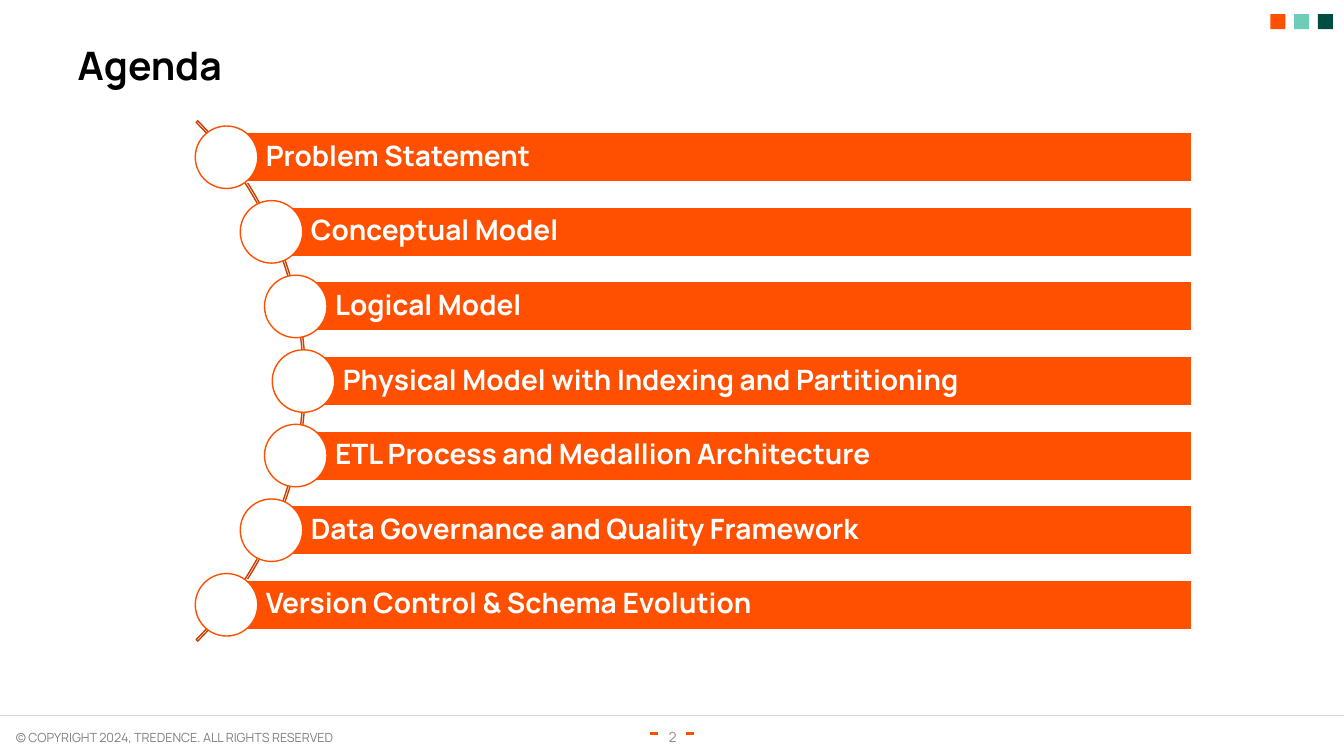
from math import sqrt

from lxml.etree import SubElement
from pptx import Presentation
from pptx.dml.color import RGBColor
from pptx.enum.shapes import MSO_CONNECTOR, MSO_SHAPE
from pptx.enum.text import MSO_ANCHOR, MSO_AUTO_SIZE, PP_ALIGN
from pptx.oxml.ns import qn
from pptx.util import Inches, Pt

TITLE = "Agenda"
AGENDA = [
    "Problem Statement",
    "Conceptual Model",
    "Logical Model",
    "Physical Model with Indexing and Partitioning",
    "ETL Process and Medallion Architecture",
    "Data Governance and Quality Framework",
    "Version Control & Schema Evolution",
]
COPYRIGHT = "© COPYRIGHT 2024, TREDENCE. ALL RIGHTS RESERVED"
PAGE_NUMBER = "2"
ORANGE, WHITE = "FE5000", "FFFFFF"
CORNER_SQUARES = [ORANGE, "6DCDB8", "004E42"]
RULES = [
    (6.45, 6.53, 7.28, ORANGE, 2.25),
    (6.8, 6.88, 7.28, ORANGE, 2.25),
    (0, 13.33, 7.1, "D9D9D9", 0.5),
]

MIDDLE_Y, PITCH = 3.78, 0.74
CURVE_X, CURVE_RADIUS = -0.6, 3.61
BAR_RIGHT, BAR_HEIGHT, CIRCLE = 11.82, 0.49, 0.62


def color(value):
    return RGBColor.from_string(value)


def add_outlined(kind, left, top, width, height, fill=None, line=None):
    shape = slide.shapes.add_shape(
        kind, Inches(left), Inches(top), Inches(width), Inches(height))
    shape.shadow.inherit = False
    if fill:
        shape.fill.solid()
        shape.fill.fore_color.rgb = color(fill)
    else:
        shape.fill.background()
    if line:
        shape.line.color.rgb = color(line)
        shape.line.width = Pt(1)
    else:
        shape.line.fill.background()
    return shape


def write(shape, words, size, ink, align, bold=False, anchor=MSO_ANCHOR.MIDDLE, wrap=True):
    frame = shape.text_frame
    frame.word_wrap = wrap
    frame.auto_size = MSO_AUTO_SIZE.NONE
    frame.vertical_anchor = anchor
    frame.text = words
    paragraph = frame.paragraphs[0]
    paragraph.alignment = align
    paragraph.font.name = "Manrope"
    paragraph.font.size = Pt(size)
    paragraph.font.bold = bold
    paragraph.font.color.rgb = color(ink)
    return frame


def add_label(left, top, width, height, *style, **layout):
    label = slide.shapes.add_textbox(
        Inches(left), Inches(top), Inches(width), Inches(height))
    write(label, *style, **layout)


def add_rule(start, end, y, ink, weight):
    rule = slide.shapes.add_connector(
        MSO_CONNECTOR.STRAIGHT, Inches(start), Inches(y), Inches(end), Inches(y))
    rule.line.color.rgb = color(ink)
    rule.line.width = Pt(weight)
    SubElement(rule._element.spPr, qn("a:effectLst"))


def add_agenda_item(index, topic):
    offset = (index - (len(AGENDA) - 1) / 2) * PITCH
    x = CURVE_X + sqrt(CURVE_RADIUS ** 2 - offset ** 2)
    y = MIDDLE_Y + offset
    bar = add_outlined(MSO_SHAPE.RECTANGLE, x, y - BAR_HEIGHT / 2,
                       BAR_RIGHT - x, BAR_HEIGHT, ORANGE, WHITE)
    frame = write(bar, topic, 20, WHITE, PP_ALIGN.LEFT, bold=True)
    frame.margin_left = Inches(0.39)
    frame.margin_right = frame.margin_top = frame.margin_bottom = Inches(0.06)
    frame.paragraphs[0].line_spacing = 0.9
    add_outlined(MSO_SHAPE.OVAL, x - CIRCLE / 2, y - CIRCLE / 2,
                 CIRCLE, CIRCLE, WHITE, ORANGE)


prs = Presentation()
prs.slide_width, prs.slide_height = Inches(13.33), Inches(7.5)
slide = prs.slides.add_slide(prs.slide_layouts[5])

for index, fill in enumerate(CORNER_SQUARES):
    add_outlined(MSO_SHAPE.RECTANGLE, 12.6 + index * 0.235, 0.14, 0.15, 0.15, fill)

for rule in RULES:
    add_rule(*rule)

add_label(0, 7.19, 3.4, 0.25, COPYRIGHT, 9, "808080", PP_ALIGN.RIGHT,
          anchor=MSO_ANCHOR.TOP, wrap=False)
add_label(6.46, 7.11, 0.42, 0.4, PAGE_NUMBER, 10, "8C8C8C", PP_ALIGN.CENTER)

title = slide.shapes.title
title.left, title.top = Inches(0.67), Inches(0.28)
title.width, title.height = Inches(12), Inches(0.78)
heading = write(title, TITLE, 28, "000000", PP_ALIGN.LEFT, bold=True)
heading.paragraphs[0].line_spacing = 0.9

curve = add_outlined(MSO_SHAPE.BLOCK_ARC, -4.27, 0.13, 7.3, 7.3, line="CB4000")
for index, adjustment in enumerate((189, 27, 0.003)):
    curve.adjustments[index] = adjustment

for index, topic in enumerate(AGENDA):
    add_agenda_item(index, topic)

prs.save("out.pptx")
